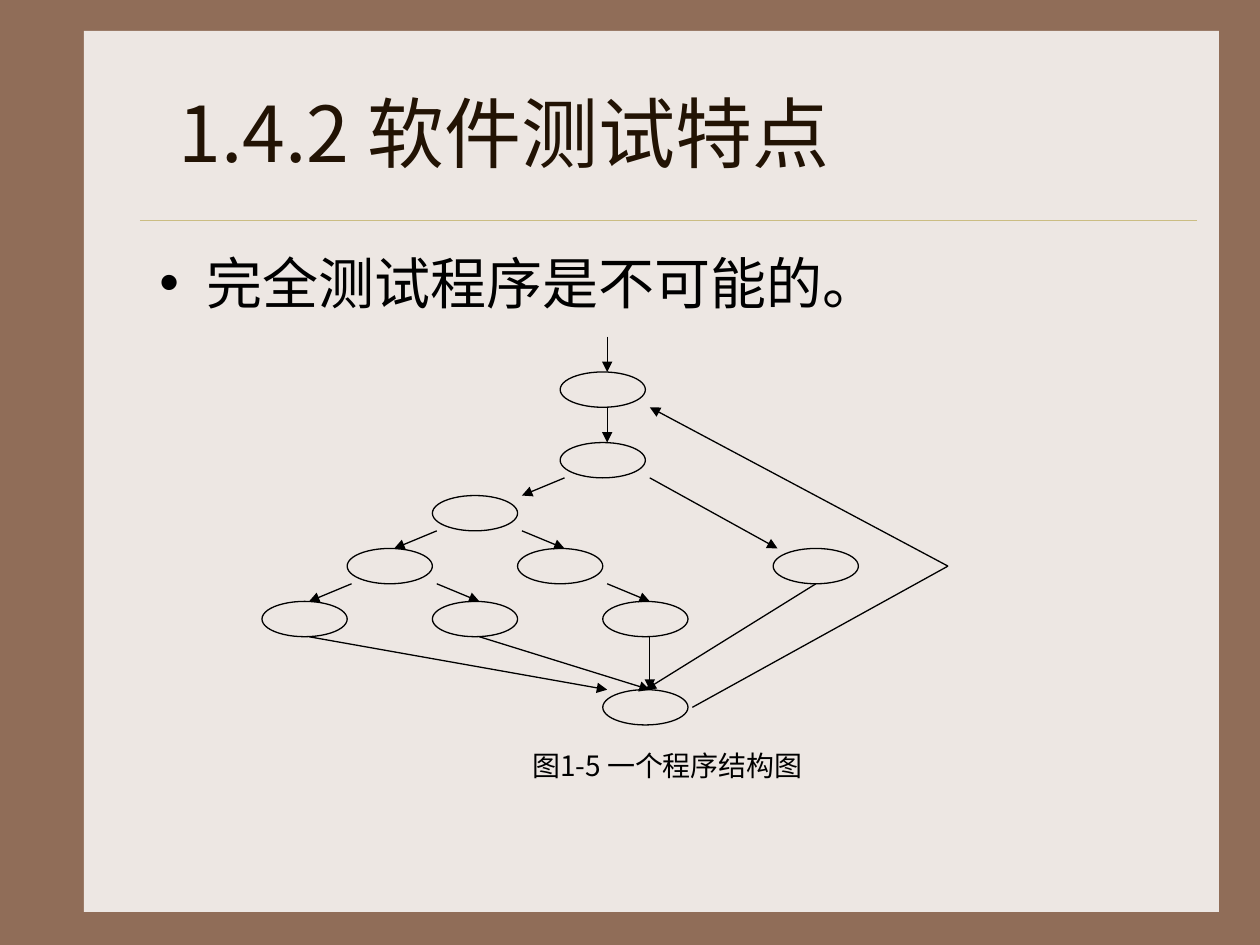
from lxml import etree
from pptx import Presentation
from pptx.dml.color import RGBColor
from pptx.enum.shapes import MSO_CONNECTOR, MSO_SHAPE
from pptx.enum.text import MSO_ANCHOR, PP_ALIGN
from pptx.oxml.ns import qn
from pptx.util import Pt

RECTANGLE, OVAL = MSO_SHAPE.RECTANGLE, MSO_SHAPE.OVAL
STRAIGHT = MSO_CONNECTOR.STRAIGHT
LEFT, CENTER, JUSTIFY = PP_ALIGN.LEFT, PP_ALIGN.CENTER, PP_ALIGN.JUSTIFY
TOP, MIDDLE = MSO_ANCHOR.TOP, MSO_ANCHOR.MIDDLE

PX = 914400 / 126
SANS, SERIF = "Noto Sans CJK SC", "Times New Roman"
COLORS = {
    "frame": "906D58",
    "panel": "EDE7E3",
    "rule": "CBBD83",
    "title": "221304",
    "ink": "000000",
}


def add_line(start, end, color, width, arrow=False):
    points = [round(value * PX) for value in (*start, *end)]
    line = page.shapes.add_connector(STRAIGHT, *points)
    line.line.color.rgb = RGBColor.from_string(COLORS[color])
    line.line.width = Pt(width)
    if arrow:
        outline = line.line._get_or_add_ln()
        etree.SubElement(outline, qn("a:tailEnd"), type="triangle")
    etree.SubElement(line._element.spPr, qn("a:effectLst"))


def add_text(frame, spans, size, color, align, anchor=TOP, bullet=False):
    box = page.shapes.add_textbox(*[round(value * PX) for value in frame])
    box.text_frame.word_wrap = True
    box.text_frame.vertical_anchor = anchor
    para = box.text_frame.paragraphs[0]
    para.alignment = align
    if bullet:
        props = para._p.get_or_add_pPr()
        indent = round(47 * PX)
        props.set("marL", str(indent))
        props.set("indent", str(-indent))
        etree.SubElement(props, qn("a:buFont"), typeface="Arial")
        etree.SubElement(props, qn("a:buChar"), char="•")
    for text, font in spans:
        span = para.add_run()
        span.text = text
        span.font.size = Pt(size)
        span.font.name = font
        span.font.color.rgb = RGBColor.from_string(COLORS[color])
        etree.SubElement(span._r.get_or_add_rPr(), qn("a:ea"), typeface=SANS)


deck = Presentation()
deck.slide_width = round(1260 * PX)
deck.slide_height = round(945 * PX)
page = deck.slides.add_slide(deck.slide_layouts[6])

# Background, panel and rule under the title
page.background.fill.solid()
page.background.fill.fore_color.rgb = RGBColor.from_string(COLORS["frame"])
panel = page.shapes.add_shape(
    RECTANGLE, *[round(value * PX) for value in (84, 31, 1135, 881)])
panel.shadow.inherit = False
panel.fill.solid()
panel.fill.fore_color.rgb = RGBColor.from_string(COLORS["panel"])
panel.line.fill.background()
add_line((140, 220), (1197, 220), "rule", 0.25)

# Title and bullet
add_text((147, 53, 1050, 158), [(" ", SERIF), ("1.4.2 软件测试特点", SANS)],
         44, "title", LEFT, MIDDLE)
add_text((147, 242, 1050, 630), [("完全测试程序是不可能的。", SANS)],
         32, "ink", JUSTIFY, bullet=True)

# Diagram grid: column and row steps shared by nodes and arrows
COLUMN, ROW = 42.6, 17.65
NODE_LEFT, ARROW_LEFT, GRID_TOP = 262, 309, 372

# Nodes as (column, row), each two steps wide and two high
nodes = [(7, 0), (7, 4), (4, 7), (6, 10), (2, 10),
         (0, 13), (4, 13), (8, 13), (12, 10), (8, 18)]
for column, row in nodes:
    frame = (NODE_LEFT + column * COLUMN, GRID_TOP + row * ROW,
             2 * COLUMN, 2 * ROW)
    node = page.shapes.add_shape(OVAL, *[round(value * PX) for value in frame])
    node.shadow.inherit = False
    node.fill.background()
    node.line.color.rgb = RGBColor.from_string(COLORS["ink"])
    node.line.width = Pt(0.75)

# Flow lines as start column, start row, end column, end row, arrowhead
flows = [
    (7, -2, 7, 0, True), (7, 2, 7, 4, True),
    (6, 6, 5, 7, True), (3, 9, 2, 10, True), (1, 12, 0, 13, True),
    (8, 6, 11, 10, True), (5, 9, 6, 10, True), (3, 12, 4, 13, True),
    (7, 12, 8, 13, True), (8, 15, 8, 18, True), (4, 15, 8, 18, True),
    (0, 15, 7, 18, True), (11.9, 12, 7.9, 18, True),
    (9, 19, 15, 11, False), (15, 11, 8, 2, True),
]
for column, row, end_column, end_row, arrow in flows:
    start = (ARROW_LEFT + column * COLUMN, GRID_TOP + row * ROW)
    end = (ARROW_LEFT + end_column * COLUMN, GRID_TOP + end_row * ROW)
    add_line(start, end, "ink", 0.75, arrow)

# Caption
add_text((348, 742, 639, 53), [("图1-5 一个程序结构图", SANS)],
         16, "ink", CENTER)

deck.save("out.pptx")
